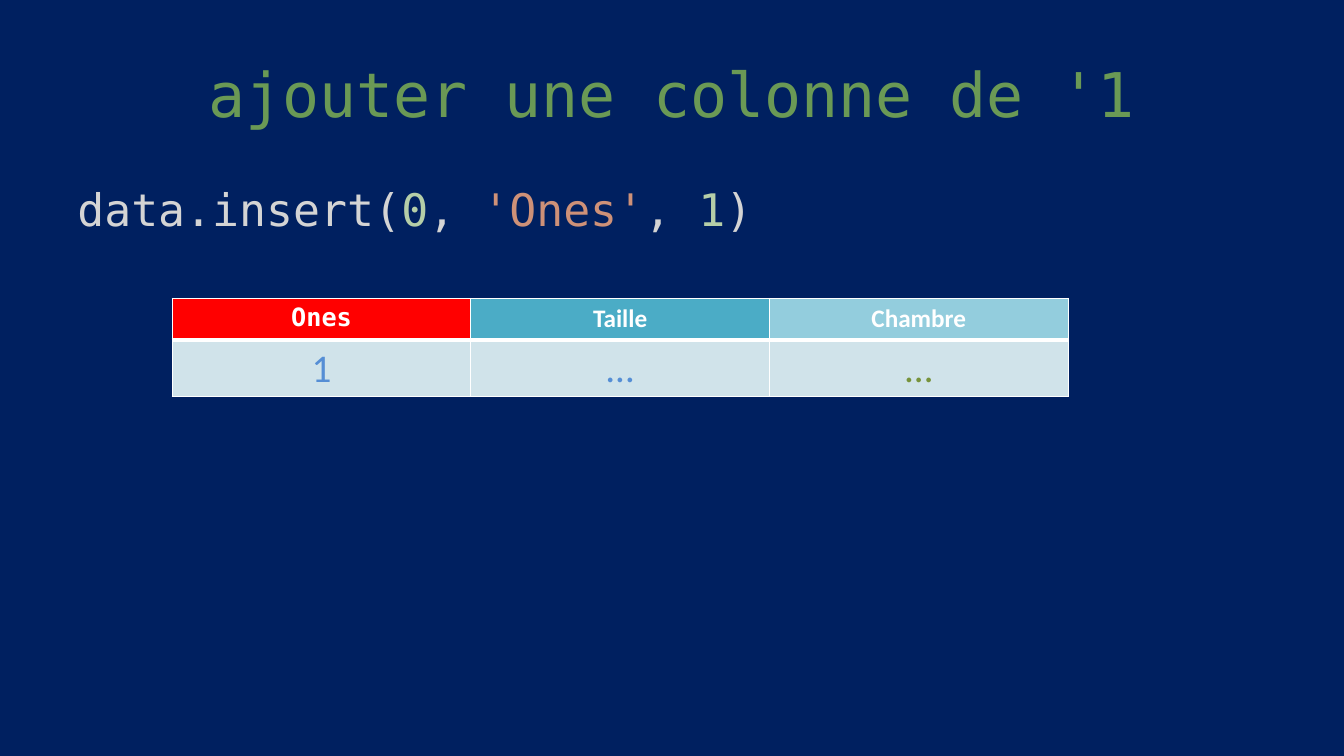
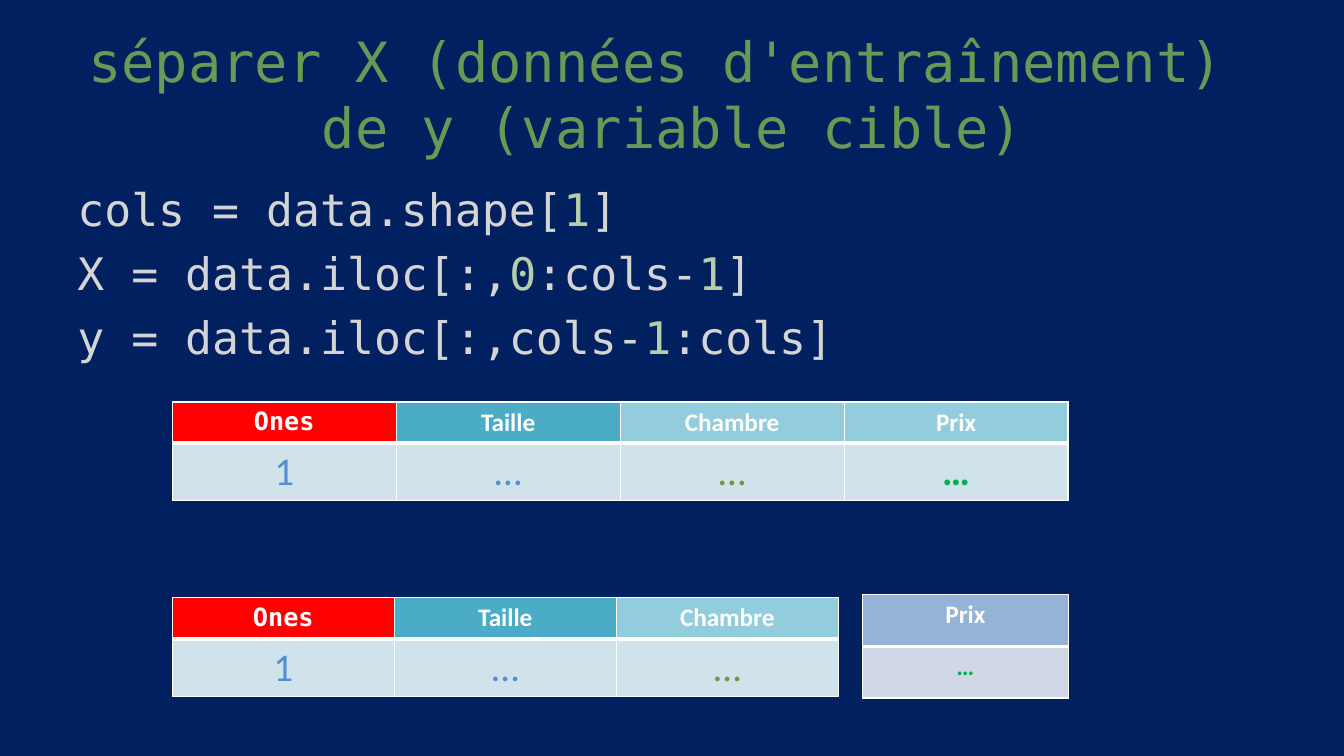
"""Two slides on adding a column of ones and splitting X from y with pandas."""
from lxml import etree
from pptx import Presentation
from pptx.dml.color import RGBColor
from pptx.enum.text import MSO_ANCHOR, PP_ALIGN
from pptx.oxml.ns import qn
from pptx.util import Cm, Pt

CENTER, LEFT = PP_ALIGN.CENTER, PP_ALIGN.LEFT
TOP, MIDDLE = MSO_ANCHOR.TOP, MSO_ANCHOR.MIDDLE
MONO, SANS = "DejaVu Sans Mono", "Calibri"
NBSP = chr(160)

NAVY = RGBColor(0x00, 0x20, 0x60)
TITLE = RGBColor(0x6A, 0x99, 0x55)
CODE = RGBColor(0xD4, 0xD4, 0xD4)
NUMBER = RGBColor(0xB5, 0xCE, 0xA8)
STRING = RGBColor(0xCE, 0x91, 0x78)
WHITE = RGBColor(0xFF, 0xFF, 0xFF)
RED = RGBColor(0xFF, 0x00, 0x00)
TEAL = RGBColor(0x4B, 0xAC, 0xC6)
LIGHT_TEAL = RGBColor(0x93, 0xCD, 0xDD)
PALE_TEAL = RGBColor(0xD0, 0xE3, 0xEA)
STEEL = RGBColor(0x95, 0xB3, 0xD7)
PALE_STEEL = RGBColor(0xD0, 0xD8, 0xE8)
BLUE = RGBColor(0x55, 0x8E, 0xD5)
OLIVE = RGBColor(0x77, 0x93, 0x3C)
GREEN = RGBColor(0x00, 0xB0, 0x50)

ONES = ("Ones", MONO, RED, "1", BLUE, False)
TAILLE = ("Taille", SANS, TEAL, "…", BLUE, False)
CHAMBRE = ("Chambre", SANS, LIGHT_TEAL, "…", OLIVE, False)
PRIX = ("Prix", SANS, LIGHT_TEAL, "…", GREEN, True)
TARGET = ("Prix", SANS, STEEL, "…", GREEN, True)

SLIDES = [
    ("ajouter une colonne de '1", 44,
     [[("data.insert(", CODE), ("0", NUMBER), (", ", CODE),
       ("'Ones'", STRING), (", ", CODE), ("1", NUMBER), (")", CODE)]],
     [(4.34, 7.52, 22.58, (1.04, 1.42), 28, PALE_TEAL, [ONES, TAILLE, CHAMBRE])]),
    ("séparer X (données d'entraînement) de y (variable cible)", 39.6,
     [[("cols = data.shape[", CODE), ("1", NUMBER), ("]", CODE)],
      [("X = data.iloc[:,", CODE), ("0", NUMBER), (":cols-", CODE),
       ("1", NUMBER), ("]", CODE)],
      [("y = data.iloc[:,cols-", CODE), ("1", NUMBER), (":cols]", CODE)]],
     [(4.34, 10.13, 22.58, (1.04, 1.42), 28, PALE_TEAL,
       [ONES, TAILLE, CHAMBRE, PRIX]),
      (4.34, 15.06, 16.79, (1.04, 1.42), 28, PALE_TEAL, [ONES, TAILLE, CHAMBRE]),
      (21.74, 14.99, 5.18, (1.3, 1.3), 18, PALE_STEEL, [TARGET])]),
]


def add_run(p, text, font, size, color, bold=False):
    r = p.add_run()
    r.text = text
    r.font.name, r.font.size, r.font.bold = font, Pt(size), bold
    r.font.color.rgb = color


def add_text(s, top, height, anchor, align, size, lines):
    tf = s.shapes.add_textbox(Cm(1.7), Cm(top), Cm(30.48), Cm(height)).text_frame
    tf.word_wrap = True
    tf.vertical_anchor = anchor
    for i, line in enumerate(lines):
        p = tf.add_paragraph() if i else tf.paragraphs[0]
        p.alignment = align
        p.space_before = Pt(size * 0.23) if align == LEFT else Pt(0)
        for text, color in line:
            add_run(p, text.replace(" ", NBSP), MONO, size, color)


prs = Presentation()
prs.slide_width, prs.slide_height = Cm(33.87), Cm(19.05)

for title, title_size, code, tables in SLIDES:
    s = prs.slides.add_slide(prs.slide_layouts[6])
    s.background.fill.solid()
    s.background.fill.fore_color.rgb = NAVY
    add_text(s, 0.76, 3.18, MIDDLE, CENTER, title_size, [[(title, TITLE)]])
    add_text(s, 4.45, 12.57, TOP, LEFT, 32, code)

    for left, top, width, heights, value_size, value_fill, columns in tables:
        table = s.shapes.add_table(2, len(columns), Cm(left), Cm(top),
                                   Cm(width), Cm(sum(heights))).table
        table.horz_banding = False
        for row, height in zip(table.rows, heights):
            row.height = Cm(height)
        for i, (head, font, fill, value, color, bold) in enumerate(columns):
            table.columns[i].width = Cm(width / len(columns))
            cells = [(head, font, 18, WHITE, True, fill),
                     (value, SANS, value_size, color, bold, value_fill)]
            for j, (text, face, size, ink, strong, back) in enumerate(cells):
                cell = table.cell(j, i)
                tcPr = cell._tc.get_or_add_tcPr()
                thick = "lnT" if j else "lnB"
                for side in ("lnL", "lnR", "lnT", "lnB"):
                    ln = etree.SubElement(tcPr, qn("a:" + side),
                                          w=str(Pt(3 if side == thick else 1)))
                    solid = etree.SubElement(ln, qn("a:solidFill"))
                    etree.SubElement(solid, qn("a:srgbClr"), val=str(WHITE))
                cell.fill.solid()
                cell.fill.fore_color.rgb = back
                p = cell.text_frame.paragraphs[0]
                p.alignment = CENTER
                add_run(p, text, face, size, ink, strong)

prs.save("out.pptx")
